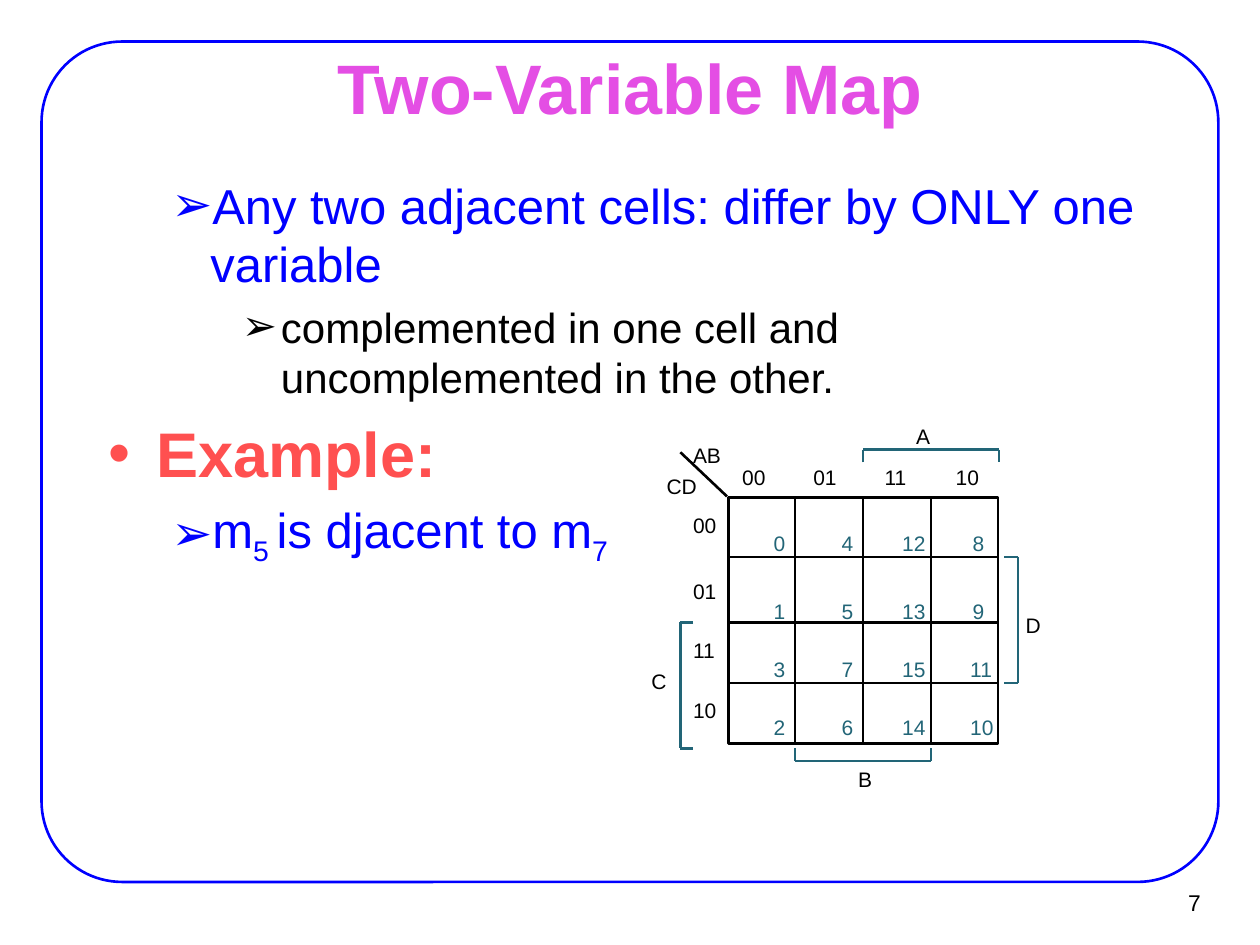
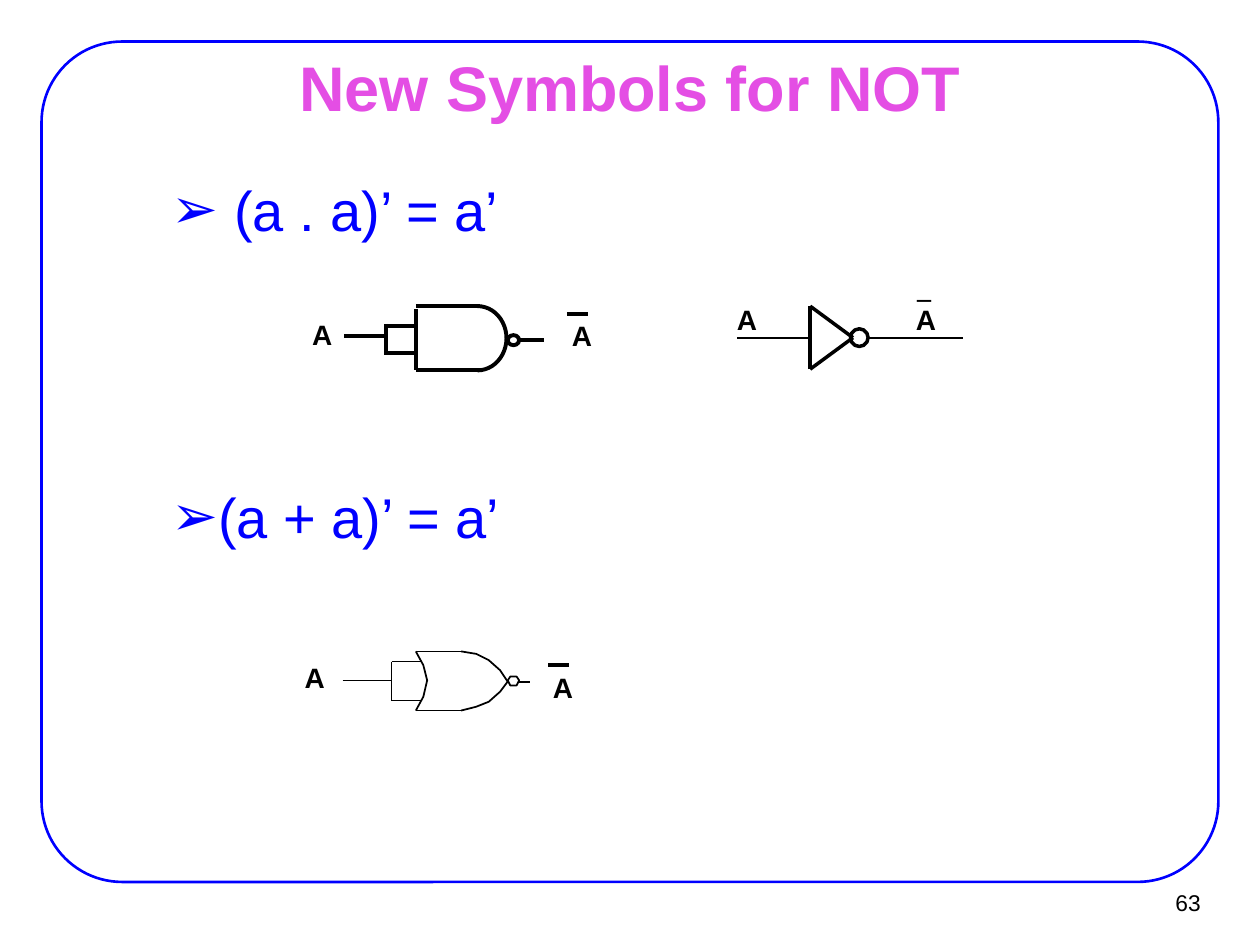
from math import cos, pi, sin

from lxml.etree import SubElement
from pptx import Presentation
from pptx.dml.color import RGBColor
from pptx.enum.shapes import MSO_CONNECTOR, MSO_SHAPE
from pptx.enum.text import MSO_ANCHOR, MSO_AUTO_SIZE, PP_ALIGN
from pptx.oxml.ns import qn
from pptx.util import Inches, Pt

BLACK = RGBColor(0x00, 0x00, 0x00)
BLUE = RGBColor(0x00, 0x00, 0xFF)
PINK = RGBColor(0xE4, 0x4E, 0xE4)
CORAL = RGBColor(0xFF, 0x50, 0x50)
TEAL = RGBColor(0x22, 0x65, 0x77)

FONT = "Arial"
ARROW = "➢"
BODY_INSETS = (0.11, 0.06)
GRAY_CODE = (0, 1, 3, 2)


# Text helpers
def set_frame(frame, insets, anchor=MSO_ANCHOR.TOP, wrap=True, fit=MSO_AUTO_SIZE.NONE):
    frame.margin_left = frame.margin_right = Inches(insets[0])
    frame.margin_top = frame.margin_bottom = Inches(insets[1])
    frame.vertical_anchor = anchor
    frame.word_wrap = wrap
    frame.auto_size = fit


def add_run(paragraph, text, size, color=BLACK, bold=False, font=FONT, subscript=False):
    run = paragraph.add_run()
    run.text = text
    run.font.name = font
    run.font.size = Pt(size)
    run.font.bold = bold
    run.font.color.rgb = color
    if subscript:
        run.font._element.set("baseline", "-25000")


def add_label(shapes, text, left, top, width=0.25, height=0.2, size=12, color=BLACK,
              bold=False, font=FONT, insets=(0, 0), align=PP_ALIGN.LEFT,
              anchor=MSO_ANCHOR.TOP, fit=MSO_AUTO_SIZE.SHAPE_TO_FIT_TEXT):
    box = shapes.add_textbox(Inches(left), Inches(top), Inches(width), Inches(height))
    set_frame(box.text_frame, insets, anchor, wrap=False, fit=fit)
    paragraph = box.text_frame.paragraphs[0]
    paragraph.alignment = align
    add_run(paragraph, text, size, color, bold, font)


def format_bullet(paragraph, level, indent, hanging, bullet, first):
    paragraph.level = level
    paragraph.alignment = PP_ALIGN.LEFT
    properties = paragraph._p.get_or_add_pPr()
    properties.set("marL", str(Inches(indent)))
    properties.set("indent", str(-Inches(hanging)))
    spacing = SubElement(properties, qn("a:spcBef"))
    SubElement(spacing, qn("a:spcPct")).set("val", "0" if first else "20000")
    SubElement(properties, qn("a:buFont")).set("typeface", FONT)
    SubElement(properties, qn("a:buChar")).set("char", bullet)


def fill_list(shape, items):
    """Each item holds its runs, as (text, subscript), and its format."""
    frame = shape.text_frame
    set_frame(frame, BODY_INSETS)
    for index, item in enumerate(items):
        paragraph = frame.add_paragraph() if index else frame.paragraphs[0]
        format_bullet(paragraph, item["level"], item["indent"], item["hanging"],
                      item.get("bullet", ARROW), first=index == 0)
        for text, subscript in item["runs"]:
            add_run(paragraph, text, item["size"], item.get("color", BLUE),
                    item.get("bold", False), subscript=subscript)


def list_item(*runs, level=1, indent=0.81, hanging=0.31, size=28, **options):
    pairs = [run if isinstance(run, tuple) else (run, False) for run in runs]
    return dict(runs=pairs, level=level, indent=indent, hanging=hanging, size=size, **options)


# Drawing helpers
def place(shape, left, top, width, height):
    shape.left, shape.top = Inches(left), Inches(top)
    shape.width, shape.height = Inches(width), Inches(height)


def add_lines(shapes, left, top, points, width=1.5, color=BLACK):
    """Join the points, which are relative to left and top, with straight lines."""
    corners = [(Inches(left + x), Inches(top + y)) for x, y in points]
    for start, end in zip(corners, corners[1:]):
        line = shapes.add_connector(MSO_CONNECTOR.STRAIGHT, *start, *end)
        line.line.color.rgb = color
        line.line.width = Pt(width)
        SubElement(line.element.spPr, qn("a:effectLst"))


def set_outline(shape, width, color):
    shape.shadow.inherit = False
    shape.fill.background()
    shape.line.color.rgb = color
    shape.line.width = Pt(width)


def add_curve(shapes, left, top, points, width):
    corners = [(Inches(left + x), Inches(top + y)) for x, y in points]
    builder = shapes.build_freeform(*corners[0])
    builder.add_line_segments(corners[1:], close=False)
    set_outline(builder.convert_to_shape(), width, BLACK)


def add_outline(shapes, kind, left, top, width, height, weight, color=BLACK):
    shape = shapes.add_shape(kind, Inches(left), Inches(top), Inches(width), Inches(height))
    set_outline(shape, weight, color)
    return shape


# Shared slide: frame, page number, title and body
def add_base_slide(presentation, title, title_size, number, body_height, items):
    slide = presentation.slides.add_slide(presentation.slide_layouts[1])
    frame = add_outline(slide.shapes, MSO_SHAPE.ROUNDED_RECTANGLE,
                        0.33, 0.33, 9.34, 6.67, 1.5, BLUE)
    frame.adjustments[0] = 0.096
    add_label(slide.shapes, str(number), 9.02, 6.98, 0.6, 0.37, size=13,
              insets=(0.09, 0.04), align=PP_ALIGN.RIGHT, anchor=MSO_ANCHOR.MIDDLE,
              fit=MSO_AUTO_SIZE.NONE)

    heading = slide.shapes.title
    place(heading, 0.75, 0.44, 8.5, 0.49)
    set_frame(heading.text_frame, BODY_INSETS, MSO_ANCHOR.MIDDLE)
    paragraph = heading.text_frame.paragraphs[0]
    paragraph.alignment = PP_ALIGN.CENTER
    add_run(paragraph, title, title_size, PINK, bold=True)

    body = slide.placeholders[1]
    place(body, 0.75, 1.33, 8.5, body_height)
    fill_list(body, items)
    return slide


# Karnaugh map
def draw_karnaugh_map(slide, left, top):
    shapes = slide.shapes.add_group_shape().shapes
    width, height, column = 2.14, 1.95, 0.54
    rows = (0.47, 0.99, 1.47)
    row_labels = (0.12, 0.64, 1.11, 1.59)
    value_tops = (0.26, 0.8, 1.26, 1.72)
    value_lefts = (0.36, 0.9, 1.38, 1.92)

    # Grid
    for y in rows:
        add_lines(shapes, left, top, [(0, y), (width, y)])
    for index in range(1, 4):
        x = index * column - 0.01
        add_lines(shapes, left, top, [(x, 0), (x, height)])
    add_lines(shapes, left, top, [(-0.01, -0.01), (-0.38, -0.36)])
    add_outline(shapes, MSO_SHAPE.RECTANGLE, left, top, width, height, 1.5)

    # Brackets that span the cells of each variable
    first, second, third = rows
    brackets = (
        [(1.07, -0.28), (1.07, -0.38), (2.15, -0.38), (2.15, -0.28)],
        [(0.53, 1.99), (0.53, 2.09), (1.61, 2.09), (1.61, 1.99)],
        [(-0.28, second), (-0.38, second), (-0.38, 1.99), (-0.28, 1.99)],
        [(2.19, first), (2.3, first), (2.3, third), (2.19, third)],
    )
    for points in brackets:
        add_lines(shapes, left, top, points, color=TEAL)

    # Variable names
    names = {"AB": (-0.28, -0.44), "CD": (-0.49, -0.19), "A": (1.49, -0.59),
             "B": (1.03, 2.13), "C": (-0.61, 1.36), "D": (2.36, 0.91)}
    for name, (x, y) in names.items():
        add_label(shapes, name, left + x, top + y)

    # Codes and minterm numbers
    for index, code in enumerate(GRAY_CODE):
        text = format(code, "02b")
        add_label(shapes, text, left + 0.11 + 0.565 * index, top - 0.26)
        add_label(shapes, text, left - 0.28, top + row_labels[index])
        for row, low_bits in enumerate(GRAY_CODE):
            minterm = 4 * code + low_bits
            nudge = 0.02 if minterm in (8, 9) else 0
            add_label(shapes, str(minterm), left + value_lefts[index] + nudge,
                      top + value_tops[row], color=TEAL)


# Gates
def add_signal(shapes, left, top, bar=False):
    add_label(shapes, "A", left, top, 0.36, 0.37, size=16, bold=True, insets=(0.1, 0.05))
    if bar:
        add_lines(shapes, left, top, [(0.06, 0.01), (0.23, 0.01)], 2.25)


def draw_nand(slide, left, top):
    shapes = slide.shapes.add_group_shape().shapes
    arc = [(0.49 + 0.23 * sin(pi * step / 24), 0.255 - 0.255 * cos(pi * step / 24))
           for step in range(25)]
    for quarter in (arc[:13], arc[12:]):
        add_curve(shapes, left, top, quarter, 2.25)
    add_outline(shapes, MSO_SHAPE.OVAL, left + 0.73, top + 0.23, 0.09, 0.08, 2.25)
    for points in ([(0, 0), (0.51, 0)], [(0, 0.02), (0, 0.51)], [(0, 0.51), (0.51, 0.51)],
                   [(0.83, 0.27), (1.02, 0.27)], [(-0.22, 0.16), (0, 0.16)],
                   [(-0.22, 0.37), (0, 0.37)], [(-0.24, 0.14), (-0.24, 0.39)],
                   [(-0.24, 0.24), (-0.57, 0.24)]):
        add_lines(shapes, left, top, points, 2.25)
    add_signal(slide.shapes, left - 0.92, top + 0.04)
    add_signal(slide.shapes, left + 1.14, top + 0.05, bar=True)


def draw_inverter(slide, left, top):
    shapes = slide.shapes.add_group_shape().shapes
    add_lines(shapes, left, top, [(-0.58, 0.25), (0, 0.25)], 1)
    add_lines(shapes, left, top, [(0.46, 0.25), (1.21, 0.25)], 1)
    add_lines(shapes, left, top, [(0, 0), (0.34, 0.25), (0, 0.5), (0, 0)], 2)
    add_outline(shapes, MSO_SHAPE.OVAL, left + 0.32, top + 0.18, 0.14, 0.14, 2)
    add_signal(shapes, left - 0.68, top - 0.08)
    add_signal(shapes, left + 0.74, top - 0.08)
    add_label(shapes, "_", left + 0.75, top - 0.33, 0.31, 0.36, size=16, bold=True,
              font="Times New Roman", insets=(0.1, 0.05))


def draw_nor(slide, left, top):
    shapes = slide.shapes.add_group_shape().shapes
    curves = (
        [(0.36, 0), (0.48, 0.02), (0.58, 0.07), (0.67, 0.15), (0.73, 0.24)],
        [(0.36, 0.47), (0.48, 0.44), (0.58, 0.4), (0.67, 0.32), (0.73, 0.24)],
        [(0, 0.47), (0.06, 0.36), (0.09, 0.23), (0.06, 0.11), (0, 0)],
        [(0.82, 0.23), (0.8, 0.2), (0.75, 0.2), (0.73, 0.23), (0.75, 0.27),
         (0.8, 0.27), (0.82, 0.23)],
    )
    for points in curves:
        add_curve(shapes, left, top, points, 1)
    for y in (0, 0.47):
        add_lines(shapes, left, top, [(0, y), (0.36, y)], 1)
    for y in (0.08, 0.39):
        add_lines(shapes, left, top, [(-0.19, y), (0.04, y)], 1)
    add_lines(shapes, left, top, [(0.82, 0.24), (0.91, 0.24)], 1)
    add_lines(shapes, left, top, [(-0.19, 0.08), (-0.19, 0.39)], 0.75)
    add_lines(shapes, left, top, [(-0.58, 0.23), (-0.19, 0.23)], 0.75)
    add_signal(slide.shapes, left - 0.98, top + 0.02)
    add_signal(slide.shapes, left + 0.99, top + 0.1, bar=True)


# Slides
def build_map_slide(presentation):
    items = [
        list_item("Any two adjacent cells: differ by ONLY one variable"),
        list_item("complemented in one cell and uncomplemented in the other.",
                  level=2, indent=1.37, size=24, color=BLACK),
        list_item("Example:", level=0, indent=0.38, hanging=0.38, size=36,
                  color=CORAL, bold=True, bullet="•"),
        list_item("m", ("5 ", True), "is djacent to m", ("7", True)),
    ]
    slide = add_base_slide(presentation, "Two-Variable Map", 40, 7, 5.08, items)
    draw_karnaugh_map(slide, 5.78, 3.95)


def build_not_slide(presentation):
    items = [list_item("(a . a)’ = a’", indent=1, hanging=0.5, size=32)]
    slide = add_base_slide(presentation, "New Symbols for NOT", 36, 63, 1, items)
    draw_nand(slide, 3.3, 2.43)
    draw_inverter(slide, 6.43, 2.43)
    draw_nor(slide, 3.3, 5.17)
    second_rule = slide.shapes.add_textbox(Inches(0.75), Inches(3.77), Inches(8.5), Inches(1))
    fill_list(second_rule, [list_item("(a + a)’ = a’", size=32)])


def main():
    presentation = Presentation()
    presentation.slide_width = Inches(10)
    presentation.slide_height = Inches(7.5)
    build_map_slide(presentation)
    build_not_slide(presentation)
    presentation.save("out.pptx")


if __name__ == "__main__":
    main()
